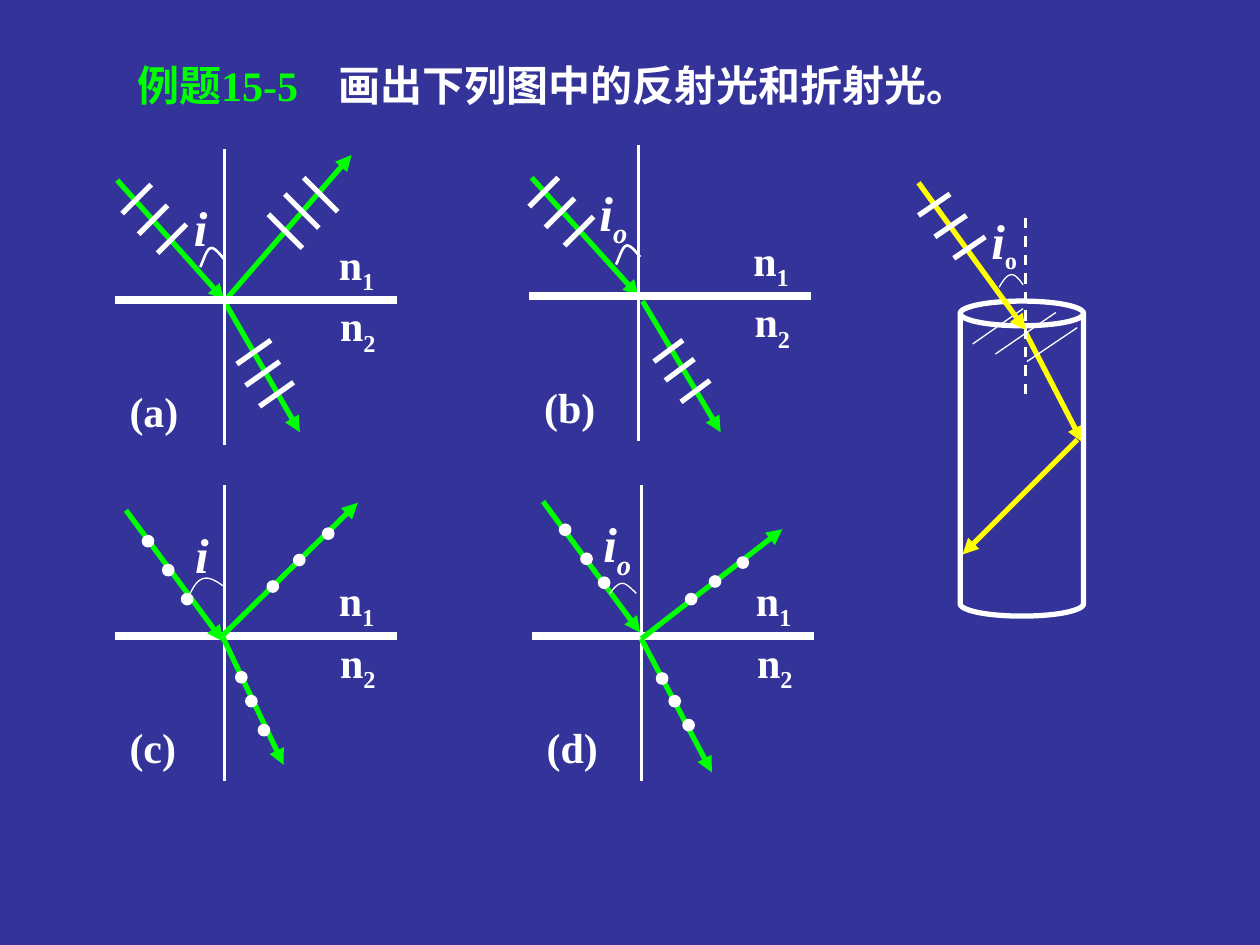
from lxml import etree
from pptx import Presentation, util as u
from pptx.dml.color import RGBColor
from pptx.enum import dml, shapes, text
from pptx.oxml import ns

COLUMNS, ROWS = 100, 75
CELL = u.Inches(10) // COLUMNS
NAVY, WHITE, GREEN, YELLOW = "333399", "FFFFFF", "00FF00", "FFFF00"
FONT = "Times New Roman"
STEEP = [(0, 0), (.3, -.7), (.5, -1.4), (.8, -1.5), (1.1, -1.6), (1.5, -1.1), (1.9, -.6)]
WIDE = [(0, 0), (.3, -.6), (.6, -1.1), (1.1, -1.2), (1.5, -1.3), (2.1, -1), (2.6, -.6)]
LOW = [(0, 0), (.3, -.4), (.6, -.8), (1, -.8), (1.3, -.8), (1.7, -.4), (2.1, 0)]
SLANTED = [(0, 0), (.3, -.5), (.6, -1), (1, -1), (1.3, -1), (1.6, -.6), (1.9, -.2)]


def rgb(value):
    """Turn a hex string into a colour."""
    return RGBColor.from_string(value)


def cells(*values):
    """Turn grid cells into lengths."""
    return [u.Emu(round(value * CELL)) for value in values]


def bezier(points, share):
    """Return the point at a share of a cubic curve."""
    weights = [(1 - share) ** 3, 3 * share * (1 - share) ** 2,
               3 * share ** 2 * (1 - share), share ** 3]
    return [sum(w * p[axis] for w, p in zip(weights, points)) for axis in (0, 1)]


class Sketch:
    """Draws parts measured in grid cells from an origin on the page."""

    def __init__(self, page, origin):
        """Keep the page and the origin."""
        self.shapes = page.shapes
        self.origin = origin

    def place(self, point):
        """Return the page position of a point."""
        return cells(self.origin[0] + point[0], self.origin[1] + point[1])

    def line(self, start, end, color=WHITE, width=3, arrow=False, dashed=False):
        """Draw a straight line."""
        line = self.shapes.add_connector(
            shapes.MSO_CONNECTOR.STRAIGHT, *self.place(start), *self.place(end))
        line.line.color.rgb = rgb(color)
        line.line.width = u.Pt(width)
        if dashed:
            line.line.dash_style = dml.MSO_LINE.DASH
        properties = line.element.spPr
        if arrow:
            outline = properties.find(ns.qn("a:ln"))
            etree.SubElement(outline, ns.qn("a:tailEnd"), type="triangle")
        etree.SubElement(properties, ns.qn("a:effectLst"))

    def preset(self, kind, corner, size, width, fill=None):
        """Draw a preset shape with a white outline."""
        shape = self.shapes.add_shape(kind, *self.place(corner), *cells(*size))
        shape.shadow.inherit = False
        shape.line.color.rgb = rgb(WHITE)
        shape.line.width = u.Pt(width)
        if fill:
            shape.fill.solid()
            shape.fill.fore_color.rgb = rgb(fill)
        else:
            shape.fill.background()
        return shape

    def ray(self, start, end, marks, slant=None, color=GREEN):
        """Draw a light ray with ticks of one slant, or with dots."""
        self.line(start, end, color, arrow=True)
        for x, y in marks:
            if slant:
                dx, dy = slant
                self.line((x - dx, y - dy), (x + dx, y + dy))
            else:
                self.preset(shapes.MSO_SHAPE.OVAL, (x - .45, y - .45), (.9, .9), .75, WHITE)

    def arc(self, start, curve, width):
        """Draw an angle mark made of two cubic curves."""
        points = [bezier(part, step / 10) for part in (curve[:4], curve[3:])
                  for step in range(11)]
        placed = [self.place((start[0] + x, start[1] + y)) for x, y in points]
        builder = self.shapes.build_freeform(*placed[0], scale=1.0)
        builder.add_line_segments(placed[1:], close=False)
        mark = builder.convert_to_shape()
        mark.shadow.inherit = False
        mark.fill.background()
        mark.line.color.rgb = rgb(WHITE)
        mark.line.width = u.Pt(width)

    def label(self, corner, size, spans, tabs=()):
        """Write one line of (words, size, colour, italic, lowered) spans."""
        box = self.shapes.add_textbox(*self.place(corner), *cells(*size))
        box.text_frame.word_wrap = True
        box.text_frame.auto_size = text.MSO_AUTO_SIZE.NONE
        para = box.text_frame.paragraphs[0]
        if tabs:
            stops = etree.SubElement(para._p.get_or_add_pPr(), ns.qn("a:tabLst"))
            for stop in cells(*tabs):
                etree.SubElement(stops, ns.qn("a:tab"), pos=str(int(stop)), algn="l")
        for words, points, color, italic, lowered in spans:
            span = para.add_run()
            span.text = words
            span.font.name = FONT
            span.font.size = u.Pt(points)
            span.font.bold = True
            span.font.italic = italic
            span.font.color.rgb = rgb(color)
            if lowered:
                span.font._element.set("baseline", "-25000")


def angle_spans(subscript, points=28, italic=True):
    """Return the spans of an angle name."""
    spans = [("i", 28, WHITE, True, False)]
    return spans + [(subscript, points, WHITE, italic, True)] if subscript else spans


def draw_interface(sketch, name):
    """Draw the boundary, its normal and the names of both media."""
    sketch.line((-8.7, 0), (13.7, 0), width=4.5)
    sketch.line((0, -12), (0, 11.5), width=1.5)
    for index, corner in (("1", (8.1, -5.4)), ("2", (8.2, -.5))):
        sketch.label(corner, (6.2, 5.6), [("n", 24, WHITE, False, False),
                                          (index, 24, WHITE, False, True)])
    sketch.label((-8.5, 6.3), (6.4, 5), [(name, 24, WHITE, False, False)])


def draw_panel(page, origin, name, rays, arc, angle, subscript="", rays_below=False):
    """Draw one case of light meeting a boundary at the origin."""
    sketch = Sketch(page, origin)
    if not rays_below:
        draw_interface(sketch, name)
    for ray in rays:
        sketch.ray(*ray)
    if rays_below:
        draw_interface(sketch, name)
    sketch.arc(*arc)
    sketch.label(angle, (5.6, 6), angle_spans(subscript))


def draw_rod(page, origin):
    """Draw the rod with light entering its top at the origin."""
    sketch = Sketch(page, origin)
    sketch.ray((0, .2), (4.5, 8.9), [], color=YELLOW)
    sketch.ray((4.1, 8.7), (-5, 17.8), [], color=YELLOW)
    rod = sketch.preset(shapes.MSO_SHAPE.CAN, (-5.2, -2.3), (9.8, 25), 3)
    rod.adjustments[0] = .2
    for start, end in (((-4.2, 1.1), (-.2, -1.7)), ((-2.4, 1.9), (2.4, -1.4)),
                       ((.1, 2.5), (4.1, -.2))):
        sketch.line(start, end, width=.75)
    sketch.line((0, -8.9), (0, 5.2), width=1.5, dashed=True)
    sketch.ray((-8.5, -11.7), (0, 0), [(-7.25, -9.95), (-5.95, -8.25), (-4.45, -6.55)],
               (1.25, -.85), YELLOW)
    sketch.arc((-2.1, -3.4), SLANTED, .75)
    sketch.label((-3.7, -10), (5.4, 6.1), angle_spans("o", 24, False))


def draw_title(page, corner):
    """Write the heading."""
    Sketch(page, corner).label(
        (0, 0), (80.5, 5.7),
        [("例题15-5\t", 24, GREEN, False, False),
         ("画出下列图中的反射光和折射光。", 24, WHITE, False, False)], [16])


def main():
    """Build the slide."""
    deck = Presentation()
    deck.slide_width, deck.slide_height = cells(COLUMNS, ROWS)
    page = deck.slides.add_slide(deck.slide_layouts[6])
    page.background.fill.solid()
    page.background.fill.fore_color.rgb = rgb(NAVY)
    draw_title(page, (9.9, 4.2))
    draw_panel(page, (17.8, 23.8), "(a)", [
        ((-8.5, -9.5), (0, 0), [(-6.95, -8), (-5.65, -6.35), (-4.15, -4.85)], (1.15, -1.15)),
        ((.2, -.1), (10.1, -11.5), [(4.85, -5.45), (6.15, -7.05), (7.65, -8.35)], (1.35, 1.35)),
        ((0, .1), (6, 10.5), [(2.35, 4.15), (3.05, 5.85), (4.15, 7.5)], (1.35, -.95)),
    ], ((-1.9, -2.6), STEEP, 1.5), (-3.4, -8.6), rays_below=True)
    draw_panel(page, (50.7, 23.5), "(b)", [
        ((-8.5, -9.4), (0, 0), [(-7.55, -8.25), (-6.25, -6.6), (-4.75, -5.15)], (1.15, -1.15)),
        ((.3, .4), (6.5, 10.8), [(2.35, 4.35), (3.25, 5.85), (4.5, 7.55)], (1.15, -.85)),
    ], ((-1.8, -2.5), STEEP, 1.5), (-4.1, -9.5), "o", rays_below=True)
    draw_panel(page, (17.8, 50.5), "(c)", [
        ((-7.8, -10), (-.1, .4), [(-6.05, -7.55), (-4.45, -5.25), (-2.95, -2.95)]),
        ((-.2, 0), (10.6, -10.6), [(3.85, -3.95), (5.95, -6.05), (8.25, -8.15)]),
        ((-.1, .1), (4.7, 10.2), [(1.35, 3.25), (2.15, 5.15), (3.15, 7.45)]),
    ], ((-2.7, -3.4), WIDE, .75), (-3.3, -9.4))
    draw_panel(page, (50.9, 50.5), "(d)", [
        ((-7.8, -10.7), (-.1, -.3), [(-6.05, -8.45), (-4.35, -6.15), (-2.95, -4.25)]),
        ((0, .2), (11.2, -8.5), [(3.95, -2.95), (5.85, -4.35), (8.05, -5.85)]),
        ((0, .2), (5.6, 10.8), [(1.65, 3.35), (2.65, 5.15), (3.75, 7.05)]),
    ], ((-2.5, -3.4), LOW, .75), (-4, -10.2), "o")
    draw_rod(page, (81.4, 26.2))
    deck.save("out.pptx")


if __name__ == "__main__":
    main()
